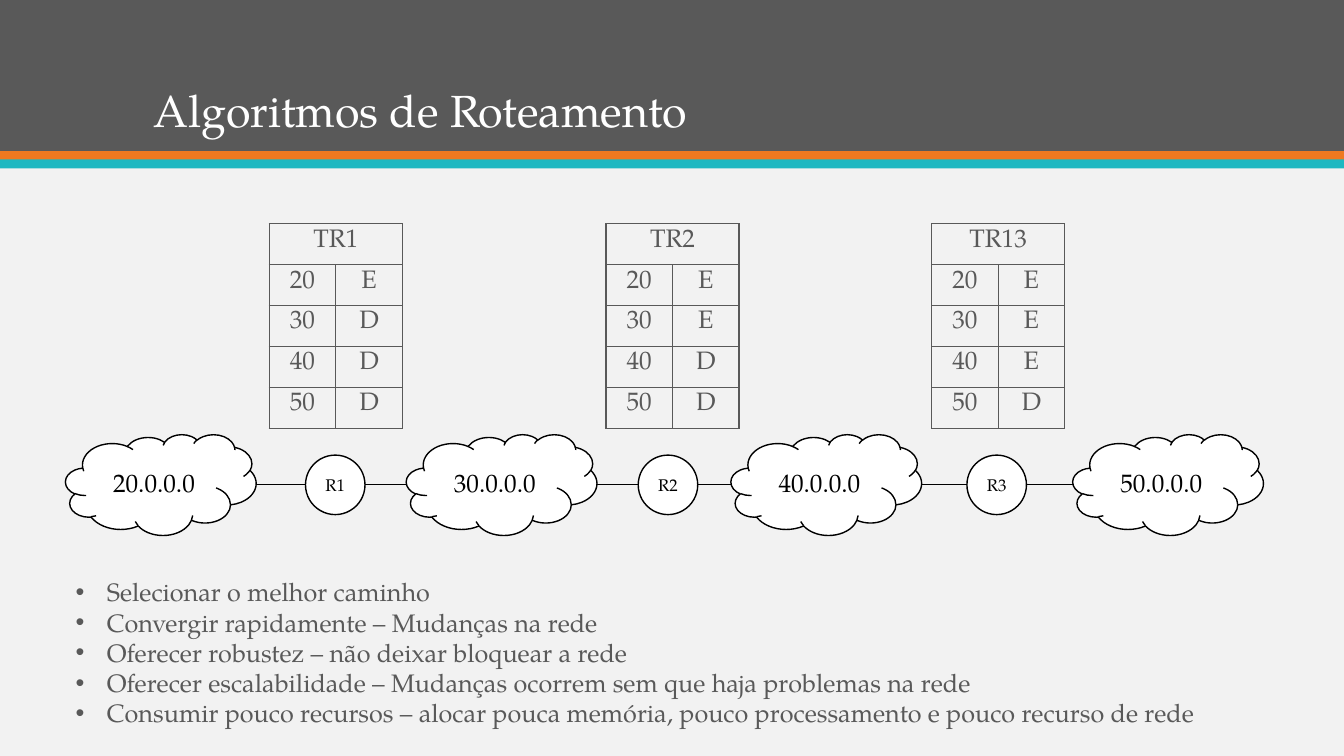
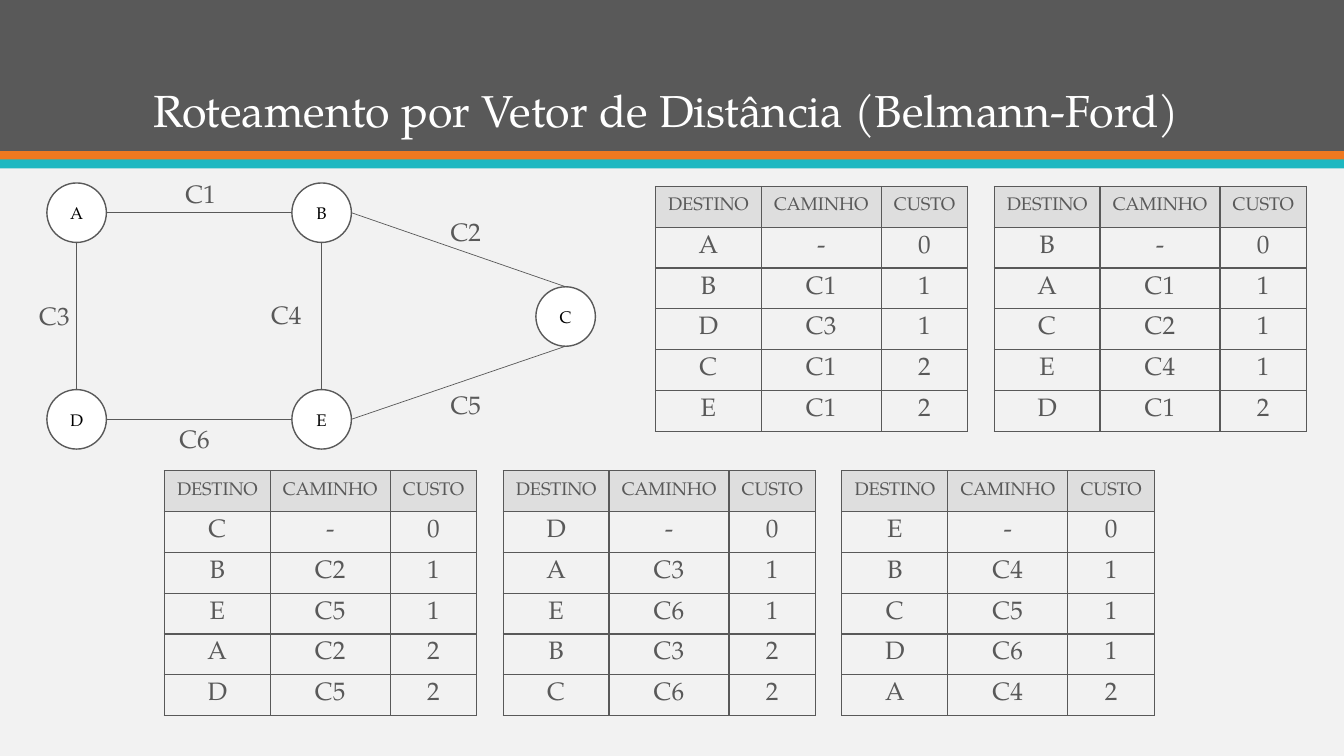
"""Build two slides on routing algorithms: network path and distance vectors."""
from lxml import etree
from pptx import Presentation
from pptx.dml.color import RGBColor
from pptx.enum.shapes import MSO_CONNECTOR, MSO_SHAPE
from pptx.enum.text import MSO_ANCHOR, MSO_AUTO_SIZE, PP_ALIGN
from pptx.oxml.ns import qn
from pptx.util import Inches, Pt

CLOUD, CIRCLE, RECTANGLE = MSO_SHAPE.CLOUD, MSO_SHAPE.OVAL, MSO_SHAPE.RECTANGLE
STRAIGHT = MSO_CONNECTOR.STRAIGHT
TOP, MIDDLE, BOTTOM = MSO_ANCHOR.TOP, MSO_ANCHOR.MIDDLE, MSO_ANCHOR.BOTTOM
CENTER, LEFT = PP_ALIGN.CENTER, PP_ALIGN.LEFT
NO_AUTOFIT = MSO_AUTO_SIZE.NONE

FONT = "TeX Gyre Pagella"
GRAY = RGBColor(0x59, 0x59, 0x59)
ORANGE = RGBColor(0xEF, 0x79, 0x20)
TEAL = RGBColor(0x1E, 0xB8, 0xC1)
PAPER = RGBColor(0xF2, 0xF2, 0xF2)
HEADER_GRAY = RGBColor(0xDE, 0xDE, 0xDE)
WHITE = RGBColor(0xFF, 0xFF, 0xFF)
BLACK = RGBColor(0, 0, 0)

WIDTH, HEIGHT = 13.33, 7.5
BANDS = [(0, 1.5, GRAY), (1.5, 0.09, ORANGE), (1.58, 0.09, TEAL)]
TITLE_BOX = (1.42, 0.28, 10.5, 1.13)

PATH_TITLE = "Algoritmos de Roteamento"
NETWORKS = [("20.0.0.0", 0.65), ("30.0.0.0", 4.03), ("40.0.0.0", 7.25), ("50.0.0.0", 10.64)]
ROUTERS = [("R1", 3.03), ("R2", 6.33), ("R3", 9.59)]
DESTINATIONS = ("20", "30", "40", "50")
ROUTING_TABLES = [("TR1", "EDDD", 2.67), ("TR2", "EEDD", 6.01), ("TR13", "EEED", 9.24)]
GOALS = [
    "Selecionar o melhor caminho",
    "Convergir rapidamente – Mudanças na rede",
    "Oferecer robustez – não deixar bloquear a rede",
    "Oferecer escalabilidade – Mudanças ocorrem sem que haja problemas na rede",
    "Consumir pouco recursos – alocar pouca memória, pouco processamento e pouco recurso de rede",
]
GOALS_BOX = (0.65, 5.67, 11.43, 1.62)
PATH_AXIS = 4.81
CLOUD_WIDTH, CLOUD_HEIGHT = 1.89, 1
NODE_SIZE = 0.59

VECTOR_TITLE = "Roteamento por Vetor de Distância (Belmann-Ford)"
GRAPH_COLUMNS = (0.76, 3.19, 5.61)
GRAPH_ROWS = (2.11, 3.14, 4.16)
NODES = {"A": (0, 0), "B": (1, 0), "C": (2, 1), "D": (0, 2), "E": (1, 2)}
SIDES = {"left": (-1, 0), "right": (1, 0), "top": (0, -1), "bottom": (0, 1)}
LINKS = [
    ("C1", "A", "right", "B", "left", 1.74, 1.72),
    ("C2", "B", "right", "C", "top", 4.37, 2.1),
    ("C3", "A", "bottom", "D", "top", 0.29, 2.93),
    ("C4", "B", "bottom", "E", "top", 2.59, 2.92),
    ("C5", "E", "right", "C", "bottom", 4.37, 3.81),
    ("C6", "E", "left", "D", "right", 1.68, 4.15),
]
VECTOR_HEADER = ("DESTINO", "CAMINHO", "CUSTO")
VECTOR_ROWS = [
    (6.5, 1.85, [
        ["A-0", ("B", "C1", "1"), ("D", "C3", "1"), ("C", "C1", "2"), ("E", "C1", "2")],
        ["B-0", ("A", "C1", "1"), ("C", "C2", "1"), ("E", "C4", "1"), ("D", "C1", "2")],
    ]),
    (1.63, 4.67, [
        ["C-0", ("B", "C2", "1"), ("E", "C5", "1"), ("A", "C2", "2"), ("D", "C5", "2")],
        ["D-0", ("A", "C3", "1"), ("E", "C6", "1"), ("B", "C3", "2"), ("C", "C6", "2")],
        ["E-0", ("B", "C4", "1"), ("C", "C5", "1"), ("D", "C6", "1"), ("A", "C4", "2")],
    ]),
]
VECTOR_STEP = 3.36


def inches(box):
    return [Inches(length) for length in box]


def style(paragraph, size, color, align=LEFT):
    paragraph.alignment = align
    paragraph.font.name = FONT
    paragraph.font.size = Pt(size)
    paragraph.font.color.rgb = color


def place(placeholder, box, anchor):
    placeholder.left, placeholder.top, placeholder.width, placeholder.height = inches(box)
    placeholder.text_frame.vertical_anchor = anchor
    placeholder.text_frame.auto_size = NO_AUTOFIT


def add_filled(slide, preset, box, fill):
    shape = slide.shapes.add_shape(preset, *inches(box))
    shape.shadow.inherit = False
    shape.fill.solid()
    shape.fill.fore_color.rgb = fill
    return shape


def add_node(slide, preset, box, label, size, outline):
    node = add_filled(slide, preset, box, WHITE)
    node.line.color.rgb = outline
    node.line.width = Pt(1)
    frame = node.text_frame
    frame.word_wrap = False
    frame.vertical_anchor = MIDDLE
    frame.text = label
    style(frame.paragraphs[0], size, BLACK, CENTER)


def add_link(slide, start, end, color):
    link = slide.shapes.add_connector(STRAIGHT, *inches(start + end))
    link.line.color.rgb = color
    link.line.width = Pt(0.5)
    etree.SubElement(link.element.spPr, qn("a:effectLst"))


def add_label(slide, text, left, top):
    frame = slide.shapes.add_textbox(*inches((left, top, 0.59, 0.4))).text_frame
    frame.word_wrap = True
    frame.text = text
    style(frame.paragraphs[0], 18, GRAY)


def add_borders(cell):
    properties = cell._tc.get_or_add_tcPr()
    for side in ("lnL", "lnR", "lnT", "lnB"):
        border = etree.SubElement(properties, qn("a:" + side), w=str(Pt(1)))
        fill = etree.SubElement(border, qn("a:solidFill"))
        etree.SubElement(fill, qn("a:srgbClr"), val=str(GRAY))


def add_grid(slide, rows, left, top, widths, height, anchor, header_size=18, header_fill=None):
    box = inches((left, top, sum(widths), height))
    table = slide.shapes.add_table(len(rows), len(widths), *box).table
    table.first_row = table.horz_banding = False
    for column, width in zip(table.columns, widths):
        column.width = Inches(width)
    for r, texts in enumerate(rows):
        for c, text in enumerate(texts):
            cell = table.cell(r, c)
            cell.text = text
            cell.vertical_anchor = anchor
            style(cell.text_frame.paragraphs[0], 18 if r else header_size, GRAY, CENTER)
            add_borders(cell)
            if header_fill and r == 0:
                cell.fill.solid()
                cell.fill.fore_color.rgb = header_fill
            else:
                cell.fill.background()
    return table


def add_titled_slide(deck, layout, title):
    slide = deck.slides.add_slide(deck.slide_layouts.get_by_name(layout))
    heading = slide.shapes.title
    place(heading, TITLE_BOX, BOTTOM)
    heading.text_frame.text = title
    paragraph = heading.text_frame.paragraphs[0]
    style(paragraph, 32, WHITE)
    paragraph.line_spacing = 0.9
    return slide


def add_master_bands(deck, slide):
    master = deck.slide_master
    master.background.fill.solid()
    master.background.fill.fore_color.rgb = PAPER
    for order, (top, height, color) in enumerate(BANDS):
        band = add_filled(slide, RECTANGLE, (0, top, WIDTH, height), color)
        band.line.fill.background()
        master.shapes.element.insert(2 + order, band.element)


def fill_path_slide(slide):
    cloud_top = PATH_AXIS - CLOUD_HEIGHT / 2
    router_top = PATH_AXIS - NODE_SIZE / 2
    for network, left in NETWORKS:
        add_node(slide, CLOUD, (left, cloud_top, CLOUD_WIDTH, CLOUD_HEIGHT), network, 18, BLACK)
    for router, left in ROUTERS:
        add_node(slide, CIRCLE, (left, router_top, NODE_SIZE, NODE_SIZE), router, 12, BLACK)
    stops = sorted([(left, left + CLOUD_WIDTH) for _, left in NETWORKS]
                   + [(left, left + NODE_SIZE) for _, left in ROUTERS])
    for (_, right), (left, _) in zip(stops, stops[1:]):
        add_link(slide, (right, PATH_AXIS), (left, PATH_AXIS), BLACK)
    for name, directions, left in ROUTING_TABLES:
        rows = [(name, ""), *zip(DESTINATIONS, directions)]
        table = add_grid(slide, rows, left, 2.22, (0.66, 0.66), 2.03, TOP)
        table.cell(0, 0).merge(table.cell(0, 1))
    goals = slide.placeholders[1]
    place(goals, GOALS_BOX, TOP)
    goals.text_frame.text = "\n".join(GOALS)
    for paragraph in goals.text_frame.paragraphs:
        style(paragraph, 18, GRAY)
        paragraph.space_before = Pt(0)
        indent = paragraph._p.get_or_add_pPr()
        indent.set("marL", str(Inches(0.31)))
        indent.set("indent", str(-Inches(0.31)))


def link_end(node, side):
    column, row = NODES[node]
    dx, dy = SIDES[side]
    return GRAPH_COLUMNS[column] + dx * NODE_SIZE / 2, GRAPH_ROWS[row] + dy * NODE_SIZE / 2


def fill_vector_slide(slide):
    for name in NODES:
        left, top = link_end(name, "left")[0], link_end(name, "top")[1]
        add_node(slide, CIRCLE, (left, top, NODE_SIZE, NODE_SIZE), name, 12, GRAY)
    for cost, start, start_side, end, end_side, left, top in LINKS:
        add_link(slide, link_end(start, start_side), link_end(end, end_side), GRAY)
        add_label(slide, cost, left, top)
    for first_left, top, vectors in VECTOR_ROWS:
        for i, vector in enumerate(vectors):
            add_grid(slide, [VECTOR_HEADER, *vector], first_left + i * VECTOR_STEP, top,
                     (1.05, 1.19, 0.86), 2.43, MIDDLE, 13, HEADER_GRAY)


deck = Presentation()
deck.slide_width, deck.slide_height = inches((WIDTH, HEIGHT))
path_slide = add_titled_slide(deck, "Title and Content", PATH_TITLE)
add_master_bands(deck, path_slide)
fill_path_slide(path_slide)
fill_vector_slide(add_titled_slide(deck, "Title Only", VECTOR_TITLE))
deck.save("out.pptx")
